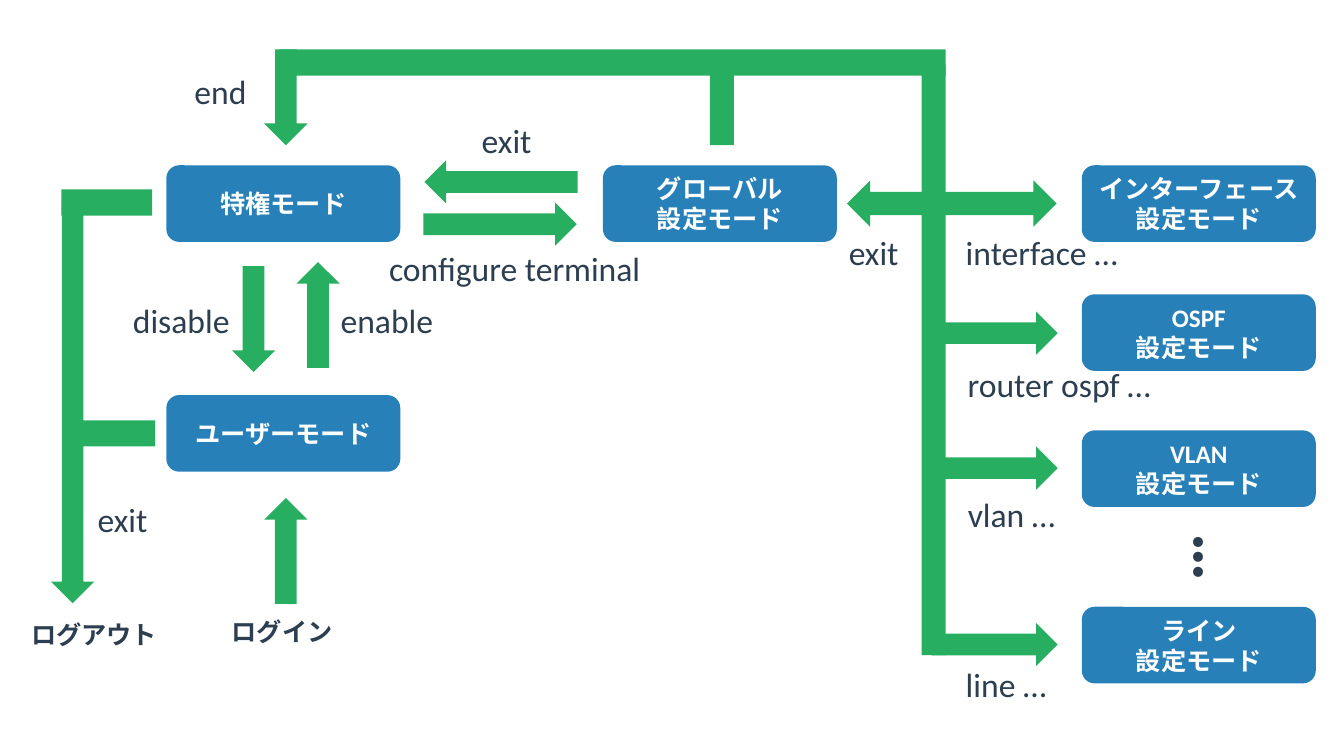
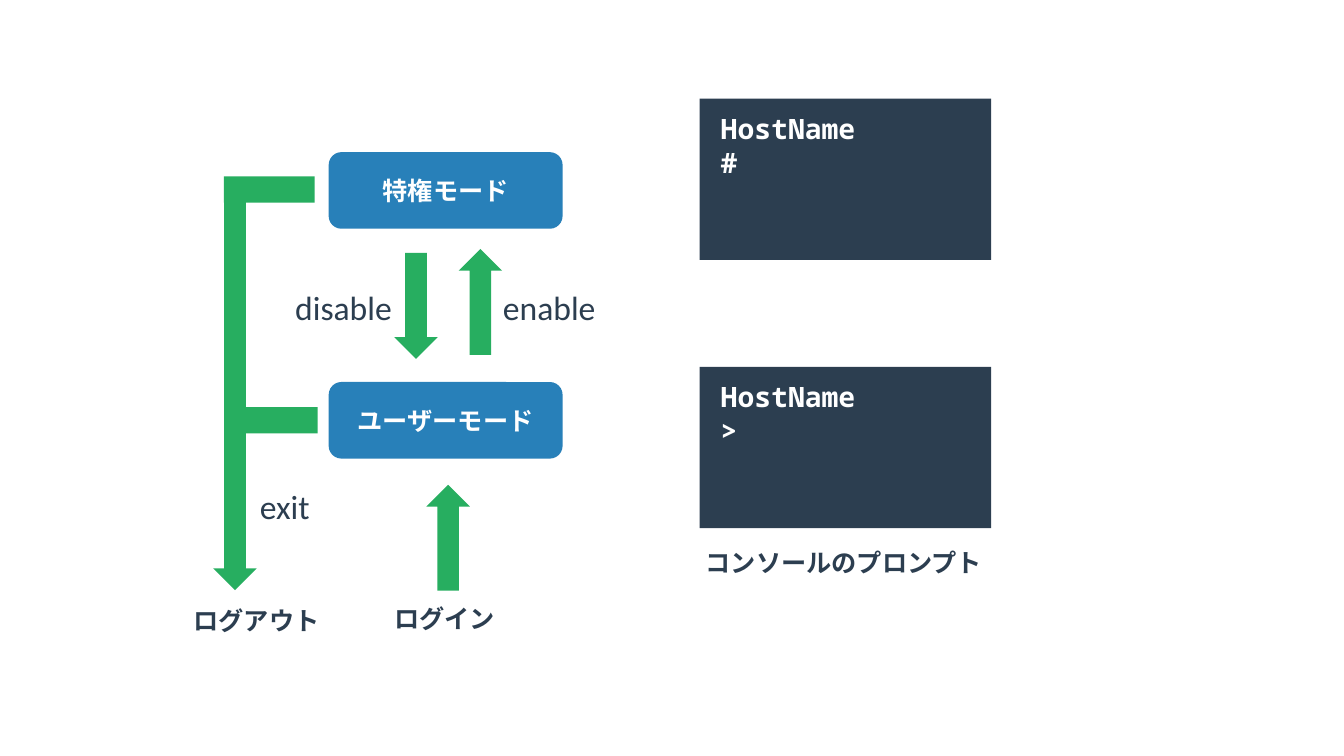
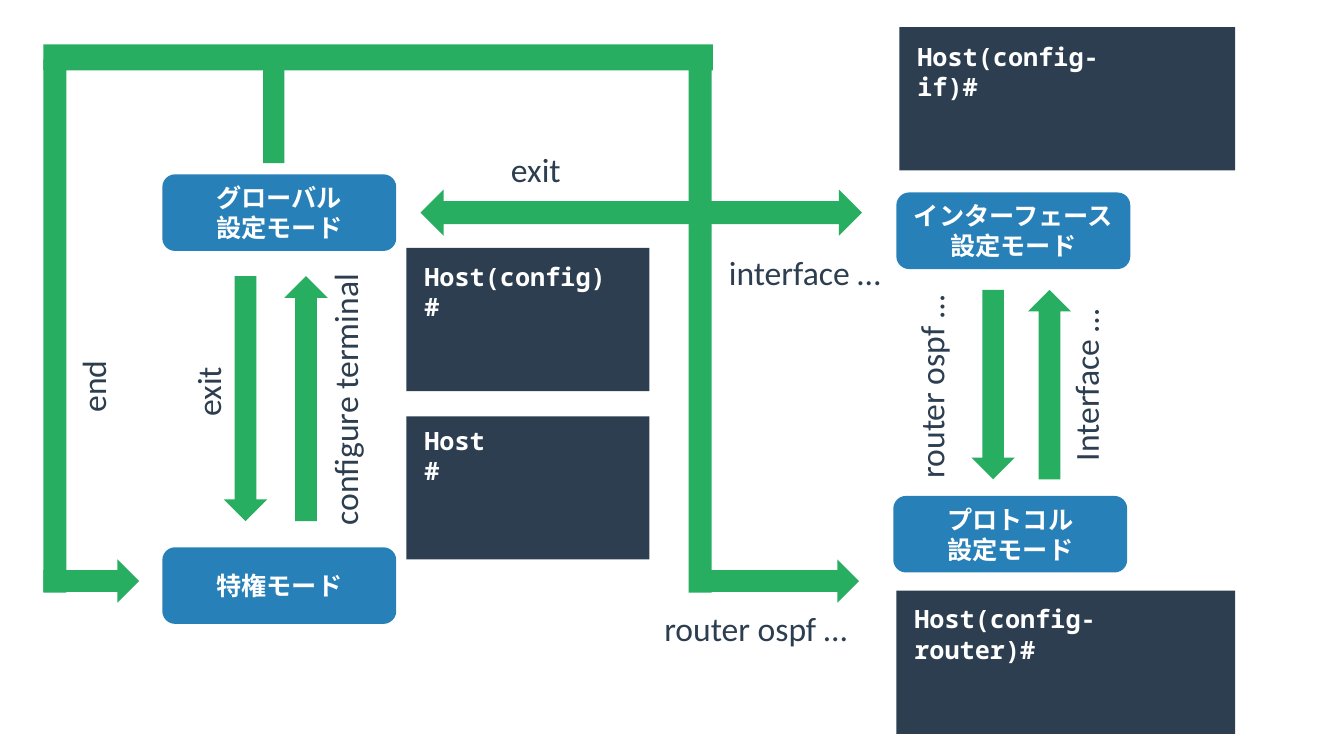
from dataclasses import dataclass
from pptx import Presentation
from pptx.dml.color import RGBColor
from pptx.enum.shapes import MSO_SHAPE
from pptx.enum.text import MSO_ANCHOR, MSO_AUTO_SIZE, PP_ALIGN
from pptx.util import Emu, Pt

PX = 9144  # 100 px to the inch


@dataclass(frozen=True)
class Theme:
    mode: str = "2880B9"
    flow: str = "27AE60"
    ink: str = "2C3E50"
    light: str = "FFFFFF"
    sans: str = "Calibri"
    mono: str = "Noto Sans Mono"
    name: int = 18
    label: int = 24
    prompt: int = 20
    dots: int = 48


T = Theme()
BOX, BAR = MSO_SHAPE.ROUNDED_RECTANGLE, MSO_SHAPE.RECTANGLE
ARROW, BOTH = MSO_SHAPE.RIGHT_ARROW, MSO_SHAPE.LEFT_RIGHT_ARROW
MODE_W, MODE_H, THICK = 232, 76, 43


def draw(slide, kind, color, x, y, w, h, turn=0, lines=()):
    """Add a filled shape, with centred lines of text if any."""
    shape = slide.shapes.add_shape(kind, *[Emu(v * PX) for v in (x, y, w, h)])
    shape.rotation = turn
    shape.shadow.inherit = False
    shape.fill.solid()
    shape.fill.fore_color.rgb = RGBColor.from_string(color)
    shape.line.fill.background()
    frame = shape.text_frame
    frame.vertical_anchor = MSO_ANCHOR.MIDDLE
    for i, line in enumerate(lines):
        para = frame.add_paragraph() if i else frame.paragraphs[0]
        para.alignment = PP_ALIGN.CENTER
        run = para.add_run()
        run.text = line
        run.font.name, run.font.size, run.font.bold = T.sans, Pt(T.name), True
        run.font.color.rgb = RGBColor.from_string(T.light)


def write(slide, text, x, y, w, h=50, turn=0, size=T.label, bold=False,
          face=T.sans, color=T.ink, wrap=False):
    """Add a text box with one run."""
    box = slide.shapes.add_textbox(*[Emu(v * PX) for v in (x, y, w, h)])
    box.rotation = turn
    frame = box.text_frame
    frame.word_wrap = wrap
    frame.auto_size = MSO_AUTO_SIZE.SHAPE_TO_FIT_TEXT
    run = frame.paragraphs[0].add_run()
    run.text = text
    run.font.name, run.font.size, run.font.bold = face, Pt(size), bold
    run.font.color.rgb = RGBColor.from_string(color)


deck = Presentation()
deck.slide_width, deck.slide_height = Emu(1333 * PX), Emu(750 * PX)
full, login, config = [deck.slides.add_slide(deck.slide_layouts[6]) for _ in range(3)]

# Login flow, shared by the first two slides
for slide, dx, dy in ((full, 0, 0), (login, 161, -13)):
    for name, y in (("ユーザーモード", 392), ("特権モード", 164)):
        draw(slide, BOX, T.mode, 165 + dx, y + dy, MODE_W, MODE_H, lines=[name])
    for x, y, w, turn in ((263, 291, 105, 270), (199, 295, 105, 90),
                          (231, 525, 105, 270), (-125, 380, 394, 90)):
        draw(slide, ARROW, T.flow, x + dx, y + dy, w, THICK, turn)
    for x, y in ((61, 188), (64, 417)):
        draw(slide, BAR, T.flow, x + dx, y + dy, 90, 26)
    for text, x, y, w in (("enable", 328, 293, 113), ("disable", 122, 293, 117),
                          ("exit", 87, 490, 70)):
        write(slide, text, x + dx, y + dy, w)
    for text, x, y, w in (("ログイン", 220, 607, 121), ("ログアウト", 21, 609, 146)):
        write(slide, text, x + dx, y + dy, w, 40, size=T.name, bold=True)

# Slide 1: configuration modes
for name, x, y in (("グローバル", 598, 164), ("インターフェース", 1073, 164),
                   ("OSPF", 1073, 292), ("VLAN", 1073, 427), ("ライン", 1073, 602)):
    draw(full, BOX, T.mode, x, y, MODE_W, MODE_H, lines=[name, "設定モード"])

# Slide 1: arrows and bars
draw(full, BOTH, T.flow, 840, 179, 208, 46)
for x, y, w, turn in ((924, 309, 125, 0), (924, 443, 125, 0), (924, 618, 125, 0),
                      (420, 201, 152, 0), (421, 159, 152, 180), (236, 75, 95, 90)):
    draw(full, ARROW, T.flow, x, y, w, THICK, turn)
for bar in ((914, 64, 24, 586), (277, 49, 661, 26), (704, 66, 24, 78)):
    draw(full, BAR, T.flow, *bar)

# Slide 1: commands
for text, x, y, w in (("exit", 468, 114, 70), ("end", 183, 65, 72),
                      ("exit", 832, 225, 70), ("configure terminal", 376, 241, 272),
                      ("interface …", 948, 225, 172), ("router ospf …", 950, 356, 203),
                      ("vlan …", 950, 485, 108), ("line …", 948, 654, 101)):
    write(full, text, x, y, w)
write(full, "…", 1176, 508, 68, 91, 90, T.dots, True)

# Slide 2: console prompts
for text, y in (("HostName>", 364), ("HostName#", 98)):
    draw(login, BAR, T.ink, 694, y, 289, 160)
    write(login, text, 705, y + 8, 159, 44, size=T.prompt, bold=True,
          face=T.mono, color=T.light, wrap=True)
write(login, "コンソールのプロンプト", 690, 538, 298, 40, size=T.name, bold=True)

# Slide 3: modes
for x, y, lines in ((161, 543, ["特権モード"]),
                    (161, 173, ["グローバル", "設定モード"]),
                    (889, 191, ["インターフェース", "設定モード"]),
                    (886, 492, ["プロトコル", "設定モード"])):
    draw(config, BOX, T.mode, x, y, MODE_W, MODE_H, lines=lines)

# Slide 3: arrows and bars
draw(config, BOTH, T.flow, 417, 188, 438, 46)
for x, y, w, turn in ((691, 555, 161, 0), (43, 555, 95, 0),
                      (182, 374, 243, 270), (122, 374, 243, 90),
                      (947, 360, 188, 270), (891, 360, 188, 90)):
    draw(config, ARROW, T.flow, x, y, w, THICK, turn)
for bar in ((683, 59, 23, 529), (43, 59, 23, 529), (43, 44, 664, 26), (261, 61, 21, 101)):
    draw(config, BAR, T.flow, *bar)

# Slide 3: commands
for text, x, y, w, turn in (("exit", 171, 363, 70, 270), ("end", 56, 358, 72, 270),
                            ("configure terminal", 206, 370, 272, 270),
                            ("Interface …", 989, 355, 175, 270),
                            ("router ospf …", 822, 358, 203, 270),
                            ("exit", 497, 143, 70, 0), ("interface …", 713, 245, 172, 0),
                            ("router ospf …", 649, 598, 203, 0)):
    write(config, text, x, y, w, turn=turn)

# Slide 3: console prompts
for text, x, y, w, gap, wide in (("Host(config)#", 403, 246, 241, 8, 200),
                                 ("Host#", 403, 413, 241, 4, 89),
                                 ("Host(config-router)#", 889, 586, 336, 8, 297),
                                 ("Host(config-if)#", 892, 27, 333, 9, 242)):
    draw(config, BAR, T.ink, x, y, w, 142)
    write(config, text, x + 8, y + gap, wide, 40, size=T.name, bold=True,
          face=T.mono, color=T.light, wrap=True)

deck.save("out.pptx")
